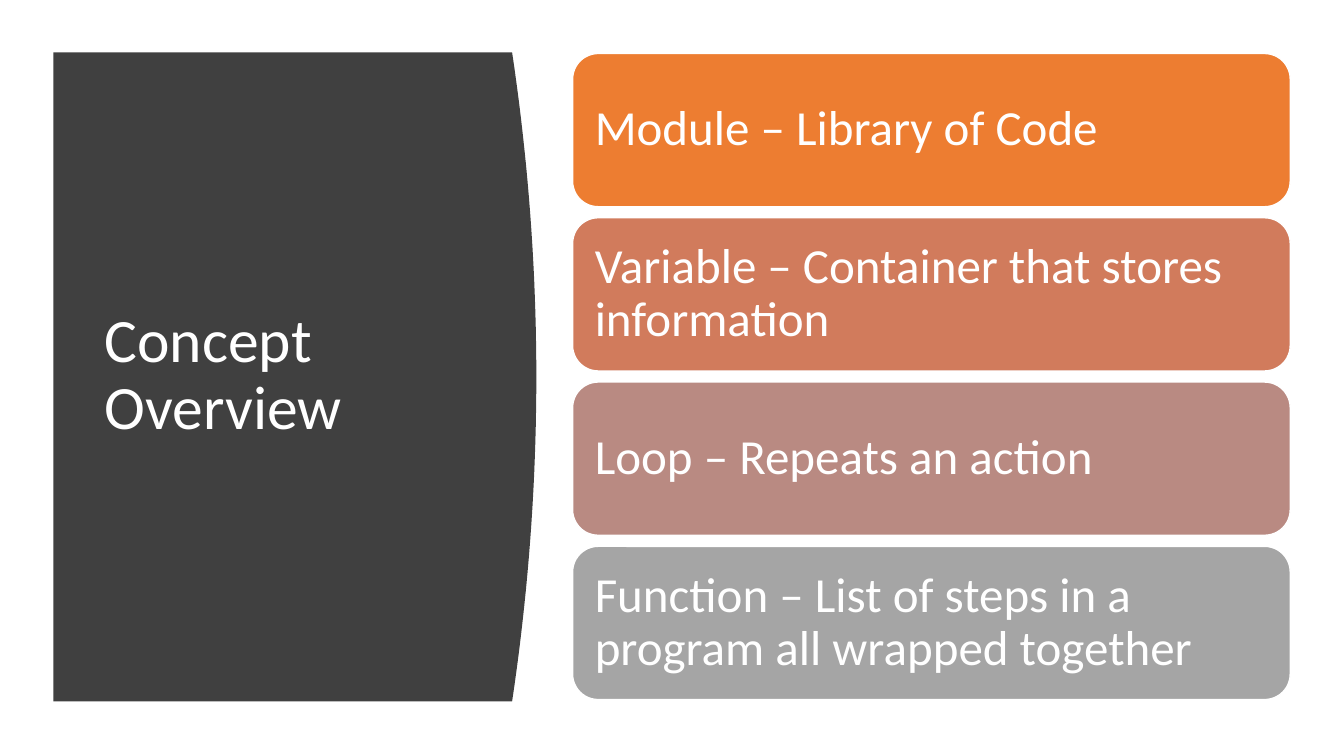
from pptx import Presentation
from pptx.dml.color import RGBColor
from pptx.enum.shapes import MSO_SHAPE
from pptx.enum.text import MSO_ANCHOR, PP_ALIGN
from pptx.util import Pt

WHITE = RGBColor(0xFF, 0xFF, 0xFF)
CHARCOAL = RGBColor(0x40, 0x40, 0x40)
ORANGE = RGBColor(0xED, 0x7D, 0x31)
TERRACOTTA = RGBColor(0xD1, 0x7B, 0x5C)
ROSE = RGBColor(0xB9, 0x8A, 0x82)
GREY = RGBColor(0xA5, 0xA5, 0xA5)

CONCEPTS = [
    ("Module – Library of Code", ORANGE),
    ("Variable – Container that stores information", TERRACOTTA),
    ("Loop – Repeats an action", ROSE),
    ("Function – List of steps in a program all wrapped together", GREY),
]


def set_attrs(target, values):
    for name, value in values.items():
        setattr(target, name, value)


def write_text(sp, text, size, inset_x, inset_y):
    tf = sp.text_frame
    set_attrs(tf, {
        "word_wrap": True, "vertical_anchor": MSO_ANCHOR.MIDDLE,
        "margin_left": Pt(inset_x), "margin_right": Pt(inset_x),
        "margin_top": Pt(inset_y), "margin_bottom": Pt(inset_y),
    })
    p = tf.paragraphs[0]
    set_attrs(p, {"alignment": PP_ALIGN.LEFT, "line_spacing": 0.9})
    r = p.add_run()
    r.text = text
    set_attrs(r.font, {"name": "Calibri", "size": Pt(size)})
    r.font.color.rgb = WHITE


def paint(sp, color):
    sp.shadow.inherit = False
    sp.fill.solid()
    sp.fill.fore_color.rgb = color


def add_title_panel(s, left, top, width, height, title):
    # Panel whose right edge bulges out along a parabola
    bulge, steps = 17.3, 40
    edge = []
    for i in range(steps + 1):
        t = i / steps
        x = left + width - bulge * (2 * t - 1) ** 2
        edge.append((Pt(x), Pt(top + height * t)))
    builder = s.shapes.build_freeform(Pt(left), Pt(top))
    builder.add_line_segments(edge + [(Pt(left), Pt(top + height))], close=True)
    panel = builder.convert_to_shape()
    paint(panel, CHARCOAL)
    panel.line.fill.background()

    # Title
    box = s.shapes.add_textbox(Pt(left + 29.5), Pt(top + 42.5),
                               Pt(width - 75.6), Pt(height - 86.4))
    write_text(box, title, 44, 7.2, 3.6)


def add_concept_cards(s, left, top, width, height, concepts):
    # Equal cards stacked with equal gaps
    gap = 7.9
    card_height = (height - gap * (len(concepts) - 1)) / len(concepts)
    for i, (text, color) in enumerate(concepts):
        card = s.shapes.add_shape(
            MSO_SHAPE.ROUNDED_RECTANGLE, Pt(left), Pt(top + i * (card_height + gap)),
            Pt(width), Pt(card_height))
        paint(card, color)
        card.line.color.rgb = WHITE
        card.line.width = Pt(1)
        write_text(card, text, 35, 10.5, 10.5)


prs = Presentation()
set_attrs(prs, {"slide_width": Pt(960), "slide_height": Pt(540)})
s = prs.slides.add_slide(prs.slide_layouts[6])
add_title_panel(s, 38.2, 37.4, 344.9, 463.7, "Concept Overview")
add_concept_cards(s, 409, 38.2, 512.6, 461.5, CONCEPTS)
prs.save("out.pptx")
